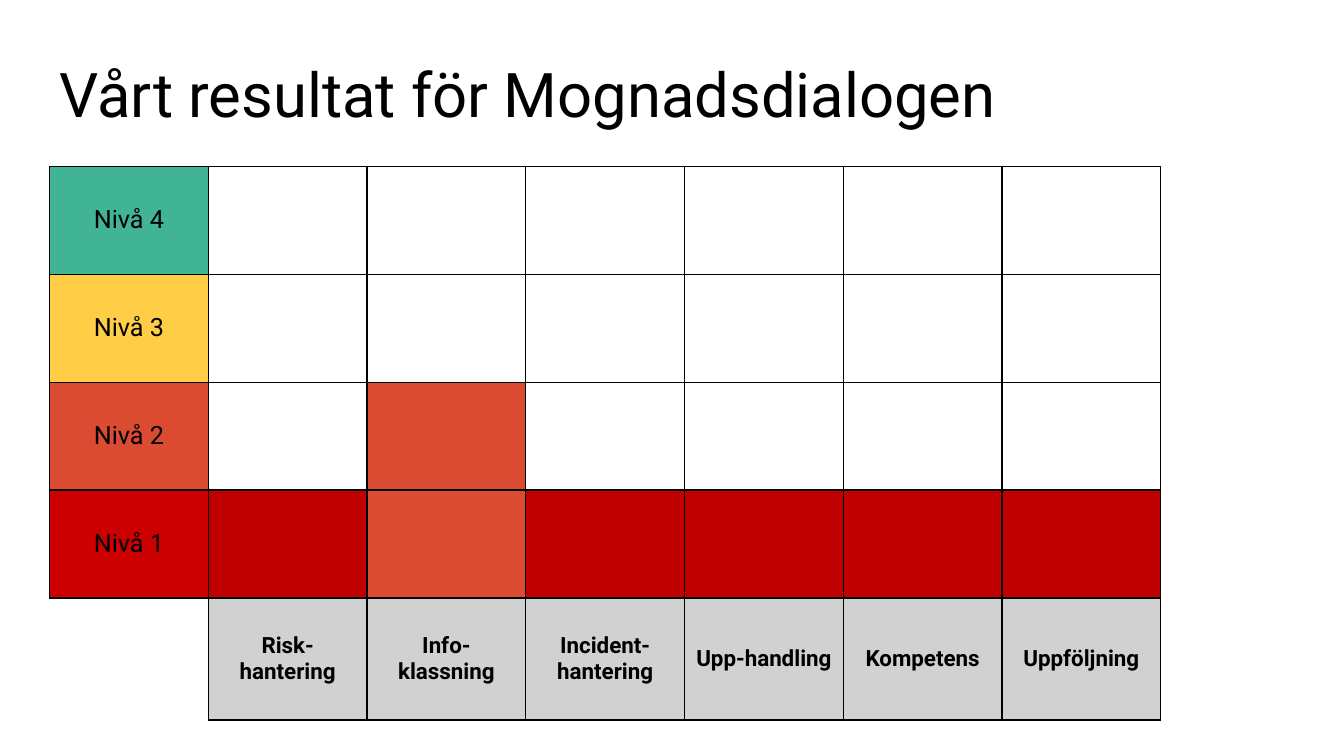
from lxml.etree import SubElement
from pptx import Presentation
from pptx.dml.color import RGBColor
from pptx.enum.text import MSO_ANCHOR, PP_ALIGN
from pptx.oxml.ns import qn
from pptx.util import Pt

TITLE = "Vårt resultat för Mognadsdialogen"
LEVELS = {4: "Nivå 4", 3: "Nivå 3", 2: "Nivå 2", 1: "Nivå 1"}
RESULTS = [
    ("Risk-hantering", 1),
    ("Info-klassning", 2),
    ("Incident-hantering", 1),
    ("Upp-handling", 1),
    ("Kompetens", 1),
    ("Uppföljning", 1),
]
COLOURS = {"text": "000000", "border": "000000", "topic": "D1D1D1"}
LEVEL_COLOURS = {4: "41B496", 3: "FFCD46", 2: "DB4B32", 1: "CC0000"}
RESULT_COLOURS = {**LEVEL_COLOURS, 1: "C00000"}
TITLE_FORMAT = {"size": Pt(44), "name": "Roboto", "bold": False}
LEVEL_FORMAT = {"size": Pt(18), "name": "Roboto", "bold": False}
TOPIC_FORMAT = {"size": Pt(16), "name": "Roboto", "bold": True}
LEFT, TOP, COLUMN_WIDTH = 35.4, 118.8, 113.4
LEVEL_HEIGHT, TOPIC_HEIGHT = 77.1, 87.2


def write(frame, text, style):
    paragraph = frame.paragraphs[0]
    run = paragraph.add_run()
    run.text = text
    for attribute, value in style.items():
        setattr(run.font, attribute, value)
    run.font.color.rgb = RGBColor.from_string(COLOURS["text"])
    return paragraph


def draw_borders(cell, sides):
    properties = cell._tc.get_or_add_tcPr()
    for side in "LRTB":
        line = SubElement(properties, qn(f"a:ln{side}"), w=str(Pt(1)))
        if side in sides:
            fill = SubElement(line, qn("a:solidFill"))
            SubElement(fill, qn("a:srgbClr"), val=COLOURS["border"])
        else:
            SubElement(line, qn("a:noFill"))


def fill_cell(cell, text="", colour=None, style=LEVEL_FORMAT, sides="LRTB"):
    draw_borders(cell, sides)
    if colour:
        cell.fill.solid()
        cell.fill.fore_color.rgb = RGBColor.from_string(colour)
    else:
        cell.fill.background()
    cell.vertical_anchor = MSO_ANCHOR.MIDDLE
    if text:
        write(cell.text_frame, text, style).alignment = PP_ALIGN.CENTER


def add_title(slide):
    frame = slide.shapes.add_textbox(Pt(LEFT), Pt(25.2), Pt(753.8), Pt(72)).text_frame
    frame.word_wrap = True
    frame.vertical_anchor = MSO_ANCHOR.BOTTOM
    write(frame, TITLE, TITLE_FORMAT).line_spacing = 0.9


def add_results(slide):
    heights = [LEVEL_HEIGHT] * len(LEVELS) + [TOPIC_HEIGHT]
    columns = len(RESULTS) + 1
    table = slide.shapes.add_table(
        len(heights), columns, Pt(LEFT), Pt(TOP),
        Pt(COLUMN_WIDTH * columns), Pt(sum(heights)),
    ).table
    table.first_row = table.horz_banding = False
    for column in table.columns:
        column.width = Pt(COLUMN_WIDTH)
    for row, height in zip(table.rows, heights):
        row.height = Pt(height)

    for row, (level, label) in enumerate(LEVELS.items()):
        fill_cell(table.cell(row, 0), label, LEVEL_COLOURS[level])
        for column, (_, reached) in enumerate(RESULTS, 1):
            colour = RESULT_COLOURS[reached] if level <= reached else None
            fill_cell(table.cell(row, column), colour=colour)

    topic_row = len(LEVELS)
    fill_cell(table.cell(topic_row, 0), sides="RT")
    for column, (topic, _) in enumerate(RESULTS, 1):
        fill_cell(table.cell(topic_row, column), topic, COLOURS["topic"], TOPIC_FORMAT)


def main():
    """Build the maturity dialogue result slide."""
    presentation = Presentation()
    presentation.slide_width, presentation.slide_height = Pt(960), Pt(540)
    slide = presentation.slides.add_slide(presentation.slide_layouts[6])
    add_title(slide)
    add_results(slide)
    presentation.save("out.pptx")


if __name__ == "__main__":
    main()
